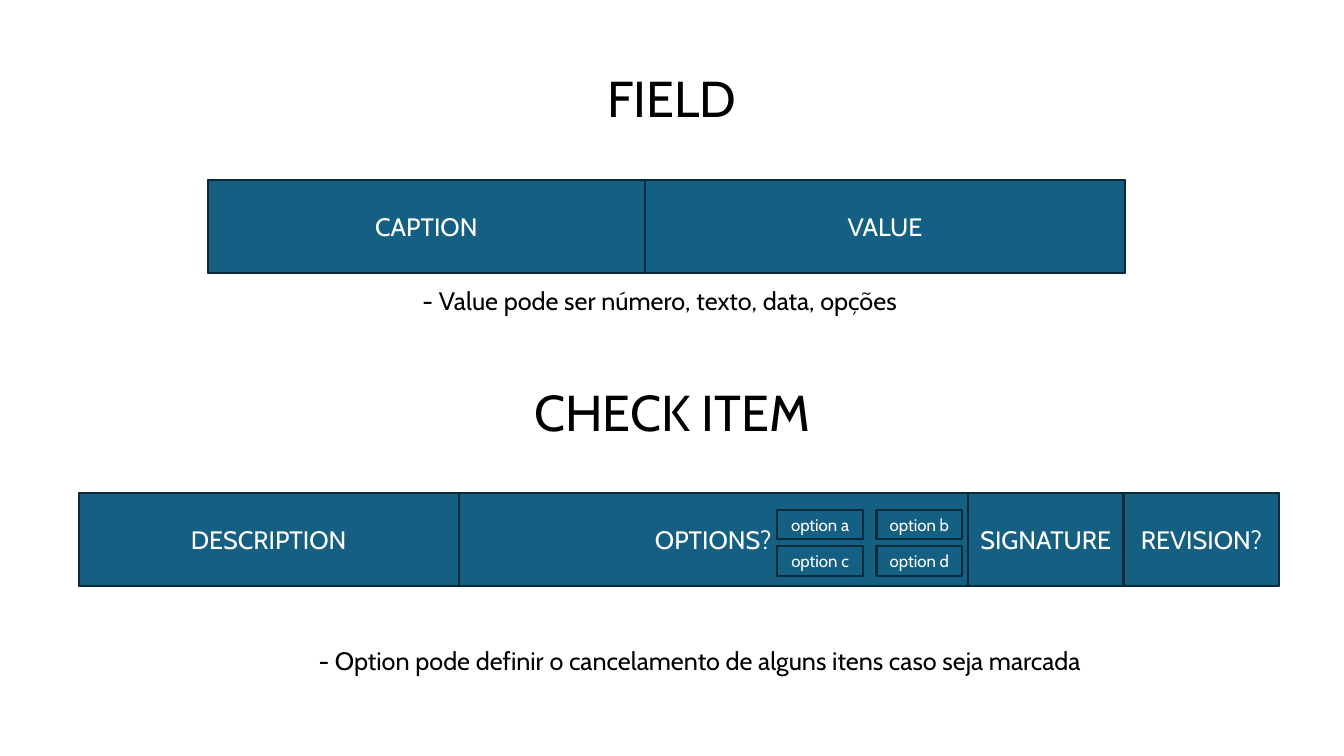
from dataclasses import dataclass

from pptx import Presentation, util as u
from pptx.dml.color import RGBColor
from pptx.enum import shapes, text


@dataclass(frozen=True)
class Theme:
    font: str = "Cabin"
    fill: RGBColor = RGBColor(0x15, 0x60, 0x82)
    outline: RGBColor = RGBColor(0x09, 0x2A, 0x39)
    light: RGBColor = RGBColor(0xFF, 0xFF, 0xFF)
    dark: RGBColor = RGBColor(0x00, 0x00, 0x00)
    heading_size: int = 36
    body_size: int = 18
    option_size: int = 12
    line_width: float = 1.5


@dataclass(frozen=True)
class Area:
    """Position and size in percent of the slide's width and height."""
    left: float
    top: float
    width: float
    height: float

    def lengths(self) -> tuple[int, int, int, int]:
        return (round(SLIDE_WIDTH * self.left / 100), round(SLIDE_HEIGHT * self.top / 100),
                round(SLIDE_WIDTH * self.width / 100), round(SLIDE_HEIGHT * self.height / 100))


@dataclass(frozen=True)
class Cell:
    label: str
    width: float


@dataclass(frozen=True)
class Band:
    """A row of adjoining cells."""
    left: float
    top: float
    cells: tuple[Cell, ...]


THEME = Theme()
SLIDE_WIDTH, SLIDE_HEIGHT = u.Inches(13.333), u.Inches(7.5)
BAND_HEIGHT = 12.27
HEADING_HEIGHT = 9.47
NOTE_HEIGHT = 5.33

FIELD_BAND = Band(15.45, 23.87, (Cell("CAPTION", 32.55), Cell("VALUE", 35.7)))
CHECK_BAND = Band(5.85, 65.2, (Cell("DESCRIPTION", 28.28), Cell("OPTIONS?", 37.88),
                               Cell("SIGNATURE", 11.59), Cell("REVISION?", 11.59)))
OPTIONS = ("option a", "option b", "option c", "option d")
FIRST_OPTION = Area(57.83, 67.47, 6.38, 3.87)
OPTION_COLUMN, OPTION_ROW = 7.39, 4.8

FIELD_HEADING = Area(41.55, 8.27, 16.88, HEADING_HEIGHT)
CHECK_HEADING = Area(36.6, 49.73, 26.85, HEADING_HEIGHT)
FIELD_NOTE = Area(30.68, 37.07, 37.8, NOTE_HEIGHT)
CHECK_NOTE = Area(22.95, 84.67, 60.38, NOTE_HEIGHT)


def write(shape, content: str, size: int, color: RGBColor, centered: bool = True) -> None:
    frame = shape.text_frame
    frame.text = content
    paragraph = frame.paragraphs[0]
    paragraph.alignment = text.PP_ALIGN.CENTER if centered else text.PP_ALIGN.LEFT
    paragraph.space_before = u.Pt(0)
    paragraph.font.name = THEME.font
    paragraph.font.size = u.Pt(size)
    paragraph.font.bold = False
    paragraph.font.color.rgb = color


def write_free_text(shape, area: Area, content: str, size: int, heading: bool) -> None:
    """Place a heading or a note that stands outside the boxes."""
    shape.left, shape.top, shape.width, shape.height = area.lengths()
    write(shape, content, size, THEME.dark, centered=heading)
    frame = shape.text_frame
    frame.word_wrap = heading
    frame.auto_size = text.MSO_AUTO_SIZE.NONE
    frame.vertical_anchor = text.MSO_ANCHOR.TOP


def add_box(slide, area: Area, label: str = "", size: int = THEME.body_size) -> None:
    box = slide.shapes.add_shape(shapes.MSO_SHAPE.RECTANGLE, *area.lengths())
    box.shadow.inherit = False
    box.fill.solid()
    box.fill.fore_color.rgb = THEME.fill
    box.line.color.rgb = THEME.outline
    box.line.width = u.Pt(THEME.line_width)
    if label:
        write(box, label, size, THEME.light)
        box.text_frame.vertical_anchor = text.MSO_ANCHOR.MIDDLE


def add_band(slide, band: Band) -> None:
    add_box(slide, Area(band.left, band.top, sum(cell.width for cell in band.cells), BAND_HEIGHT))
    left = band.left
    for cell in band.cells:
        add_box(slide, Area(left, band.top, cell.width, BAND_HEIGHT), cell.label)
        left += cell.width


def add_options(slide) -> None:
    for index, option in enumerate(OPTIONS):
        row, column = divmod(index, 2)
        add_box(slide, Area(FIRST_OPTION.left + column * OPTION_COLUMN,
                            FIRST_OPTION.top + row * OPTION_ROW,
                            FIRST_OPTION.width, FIRST_OPTION.height),
                option, THEME.option_size)


def main() -> None:
    presentation = Presentation()
    presentation.slide_width, presentation.slide_height = SLIDE_WIDTH, SLIDE_HEIGHT
    comparison_layout = presentation.slide_layouts[4]
    slide = presentation.slides.add_slide(comparison_layout)
    title, field_note, field_content, check_note, check_content = slide.placeholders
    for unused in (field_content, check_content):
        unused.element.getparent().remove(unused.element)

    add_band(slide, CHECK_BAND)
    add_options(slide)
    add_band(slide, FIELD_BAND)

    check_heading = slide.shapes.add_textbox(*CHECK_HEADING.lengths())
    write_free_text(title, FIELD_HEADING, "FIELD", THEME.heading_size, True)
    write_free_text(check_heading, CHECK_HEADING, "CHECK ITEM", THEME.heading_size, True)
    write_free_text(field_note, FIELD_NOTE, "- Value pode ser número, texto, data, opções",
                    THEME.body_size, False)
    write_free_text(check_note, CHECK_NOTE,
                    "- Option pode definir o cancelamento de alguns itens caso seja marcada",
                    THEME.body_size, False)
    presentation.save("out.pptx")


if __name__ == "__main__":
    main()
